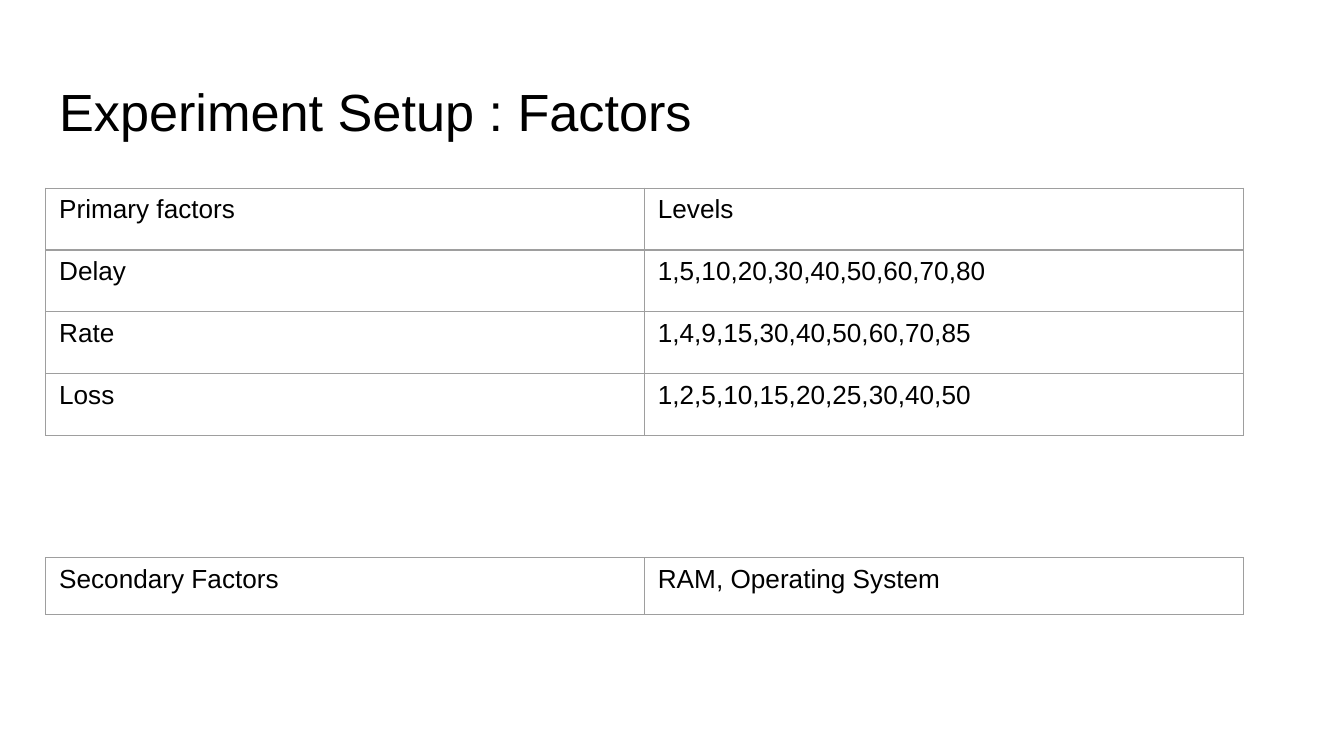
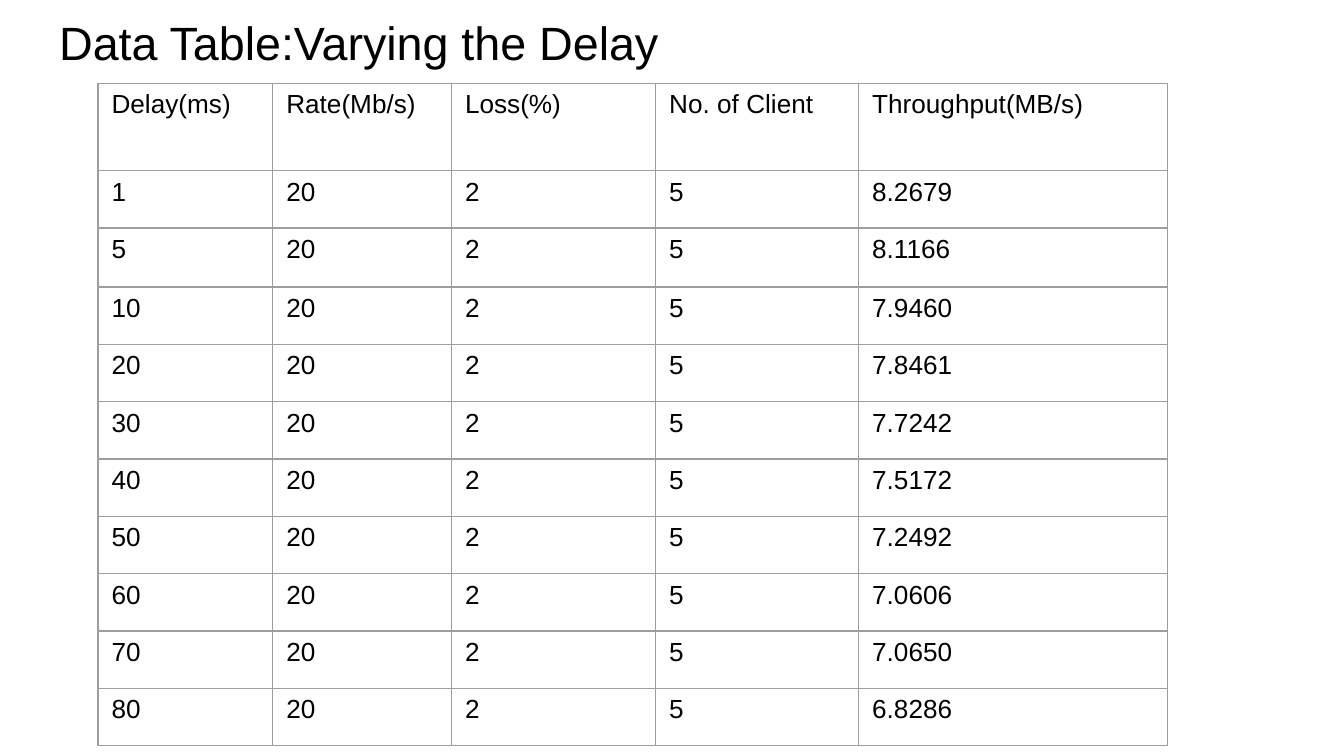
from dataclasses import dataclass

from lxml import etree
from pptx import Presentation
from pptx import util as u
from pptx.dml.color import RGBColor
from pptx.enum import text
from pptx.oxml import ns

COLOURS = {"text": "000000", "border": "9E9E9E", "background": "FFFFFF"}
FONT = "Arial"
SLIDE_WIDTH = 10
SLIDE_HEIGHT = SLIDE_WIDTH * 9 / 16
LEFT = 0.34
TITLE_WIDTH = 9.32
TITLE_ONLY = 5
CELL_SIZE = 14
BORDER_WIDTH = 0.75

TITLE_FRAME = {
    "margin_left": u.Inches(0.1),
    "margin_right": u.Inches(0.1),
    "margin_top": u.Inches(0.1),
    "margin_bottom": u.Inches(0.1),
    "vertical_anchor": text.MSO_ANCHOR.TOP,
    "word_wrap": True,
    "auto_size": text.MSO_AUTO_SIZE.NONE,
}
CELL_FORMAT = {
    "margin_left": u.Inches(0.1),
    "margin_right": u.Inches(0.1),
    "margin_top": u.Inches(0.05),
    "margin_bottom": u.Inches(0.05),
    "vertical_anchor": text.MSO_ANCHOR.TOP,
}
PLAIN_TABLE = {"first_row": False, "horz_banding": False}


@dataclass(frozen=True)
class Title:
    wording: str
    top: float
    height: float
    size: int


@dataclass(frozen=True)
class Grid:
    left: float
    top: float
    columns: list[float]
    rows: list[float]
    cells: list[list[str]]


@dataclass(frozen=True)
class Page:
    title: Title
    grids: list[Grid]


FACTOR_COLUMNS = [8.91 / 2] * 2
FACTORS = [
    ["Primary factors", "Levels"],
    ["Delay", "1,5,10,20,30,40,50,60,70,80"],
    ["Rate", "1,4,9,15,30,40,50,60,70,85"],
    ["Loss", "1,2,5,10,15,20,25,30,40,50"],
]

RATE, LOSS, CLIENTS = "20", "2", "5"
THROUGHPUT_BY_DELAY = {
    "1": "8.2679",
    "5": "8.1166",
    "10": "7.9460",
    "20": "7.8461",
    "30": "7.7242",
    "40": "7.5172",
    "50": "7.2492",
    "60": "7.0606",
    "70": "7.0650",
    "80": "6.8286",
}
MEASUREMENTS = [
    ["Delay(ms)", "Rate(Mb/s)", "Loss(%)", "No. of Client", "Throughput(MB/s)"],
    *([delay, RATE, LOSS, CLIENTS, throughput]
      for delay, throughput in THROUGHPUT_BY_DELAY.items()),
]
HEADER_HEIGHT, TALL_ROW = 0.65, 0.44
DATA_ROW = (4.93 - HEADER_HEIGHT - TALL_ROW) / 9

PAGES = [
    Page(
        Title("Experiment Setup : Factors", 0.49, 0.63, 28),
        [
            Grid(LEFT, 1.4, FACTOR_COLUMNS, [0.46] * 4, FACTORS),
            Grid(LEFT, 4.15, FACTOR_COLUMNS, [0.42],
                 [["Secondary Factors", "RAM, Operating System"]]),
        ],
    ),
    Page(
        Title("Data Table:Varying the Delay", 0, 0.77, 25),
        [
            Grid(0.73, 0.62, [1.3, 1.33, 1.52, 1.51, 2.3],
                 [HEADER_HEIGHT, DATA_ROW, TALL_ROW] + [DATA_ROW] * 8,
                 MEASUREMENTS),
        ],
    ),
]


def apply_format(target, values: dict) -> None:
    for name, value in values.items():
        setattr(target, name, value)


def write(frame, wording: str, size: int) -> None:
    """Fill a text frame with one left-aligned paragraph."""
    paragraph = frame.paragraphs[0]
    paragraph.alignment = text.PP_ALIGN.LEFT
    run = paragraph.add_run()
    run.text = wording
    apply_format(run.font, {"name": FONT, "size": u.Pt(size), "bold": False})
    run.font.color.rgb = RGBColor.from_string(COLOURS["text"])


def add_borders(cell) -> None:
    properties = cell._tc.get_or_add_tcPr()
    for side in ("lnL", "lnR", "lnT", "lnB"):
        line = etree.SubElement(properties, ns.qn(f"a:{side}"),
                                w=str(u.Pt(BORDER_WIDTH)))
        fill = etree.SubElement(line, ns.qn("a:solidFill"))
        etree.SubElement(fill, ns.qn("a:srgbClr"), val=COLOURS["border"])


def set_title(slide, title: Title) -> None:
    shape = slide.shapes.title
    apply_format(shape, {
        "left": u.Inches(LEFT),
        "top": u.Inches(title.top),
        "width": u.Inches(TITLE_WIDTH),
        "height": u.Inches(title.height),
    })
    apply_format(shape.text_frame, TITLE_FRAME)
    write(shape.text_frame, title.wording, title.size)


def add_grid(slide, grid: Grid) -> None:
    table = slide.shapes.add_table(
        len(grid.rows), len(grid.columns),
        u.Inches(grid.left), u.Inches(grid.top),
        u.Inches(sum(grid.columns)), u.Inches(sum(grid.rows)),
    ).table
    apply_format(table, PLAIN_TABLE)
    for column, width in zip(table.columns, grid.columns):
        column.width = u.Inches(width)
    for row, height, wordings in zip(table.rows, grid.rows, grid.cells):
        row.height = u.Inches(height)
        for cell, wording in zip(row.cells, wordings):
            apply_format(cell, CELL_FORMAT)
            add_borders(cell)
            cell.fill.background()
            write(cell.text_frame, wording, CELL_SIZE)


def add_page(presentation, page: Page) -> None:
    slide = presentation.slides.add_slide(presentation.slide_layouts[TITLE_ONLY])
    background = slide.background.fill
    background.solid()
    background.fore_color.rgb = RGBColor.from_string(COLOURS["background"])
    set_title(slide, page.title)
    for grid in page.grids:
        add_grid(slide, grid)


def main() -> None:
    presentation = Presentation()
    presentation.slide_width = u.Inches(SLIDE_WIDTH)
    presentation.slide_height = u.Inches(SLIDE_HEIGHT)
    for page in PAGES:
        add_page(presentation, page)
    presentation.save("out.pptx")


if __name__ == "__main__":
    main()
